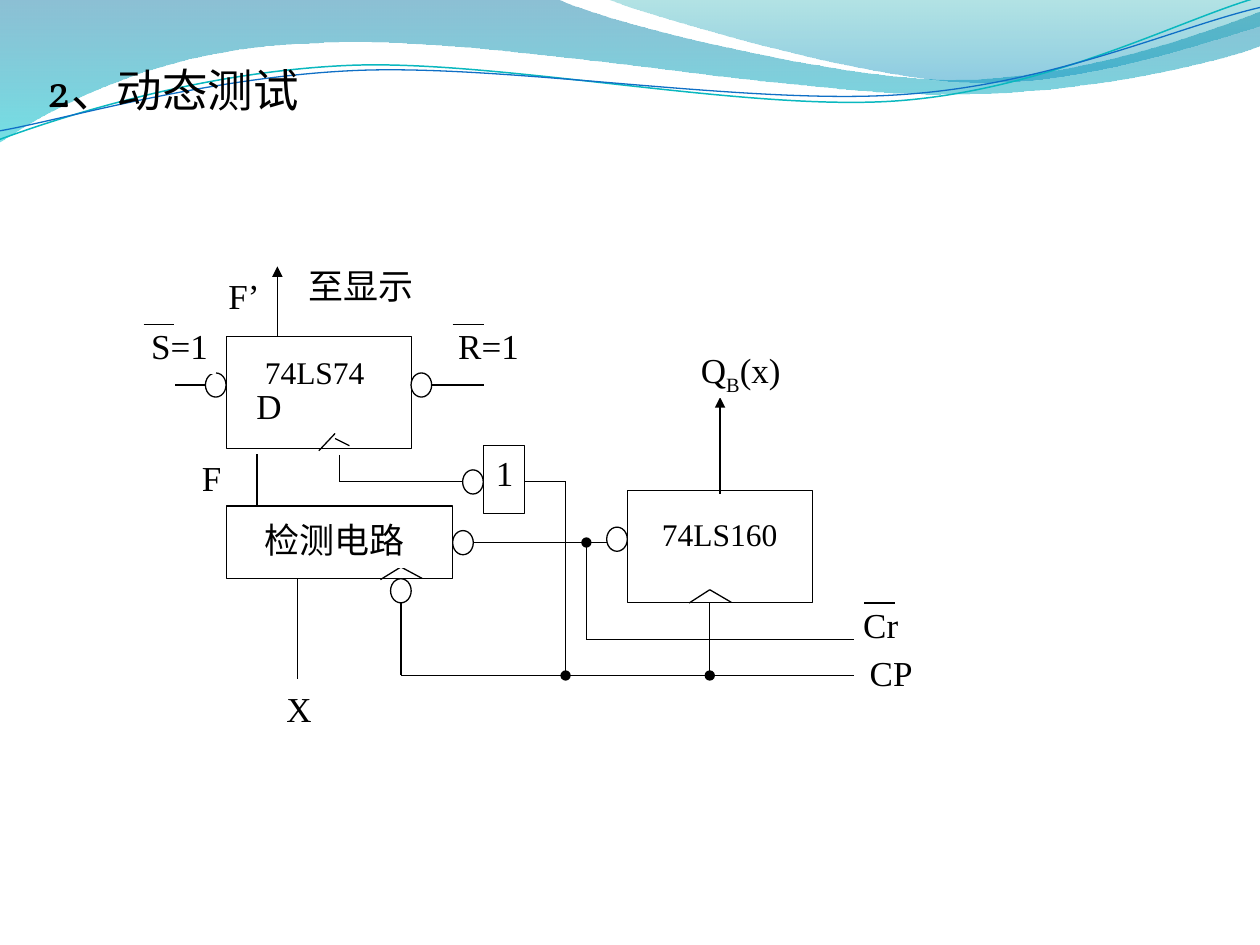
from dataclasses import dataclass
from itertools import pairwise
from math import cos, radians, sin

from lxml import etree
from pptx import Presentation
from pptx.dml.color import RGBColor
from pptx.enum.shapes import MSO_CONNECTOR, MSO_SHAPE
from pptx.enum.text import MSO_ANCHOR, PP_ALIGN
from pptx.oxml.ns import qn
from pptx.util import Pt

RECTANGLE = MSO_SHAPE.RECTANGLE
OVAL = MSO_SHAPE.OVAL
STRAIGHT = MSO_CONNECTOR.STRAIGHT
TOP = MSO_ANCHOR.TOP
LEFT = PP_ALIGN.LEFT
CENTER = PP_ALIGN.CENTER


@dataclass(frozen=True)
class Theme:
    ink: str = "000000"
    paper: str = "FFFFFF"
    wave: tuple = (("0074A1", 45), ("00C6CF", 55))
    crest: tuple = (("00A1A9", 30), ("008BBF", 45))
    teal: str = "0AB8BF"
    blue: str = "0F6FC6"
    title_font: str = "Vollkorn"
    font: str = "Times New Roman"
    title_size: float = 26
    label_size: float = 20
    chip_size: float = 18
    line: float = 0.75


THEME = Theme()
BUBBLE_SIZE = (11.8, 13.8)
CHIP_SIZE = (105.8, 64.2)
TILT = 2.7

WAVE = [
    [(-0.7, -0.7)],
    [(318, -0.7)],
    [(343.5, 12.2), (478.1, 45.4), (545.8, 45.4)],
    [(614.2, 45.4), (689.8, 18.7), (720, 6.5)],
    [(720.7, 25.9)],
    [(707.8, 31.7), (626.4, 54.7), (537.1, 54)],
    [(447.8, 54), (275, 20.2), (185, 24.5)],
    [(92.9, 25.9), (33.1, 59.8), (-0.7, 81.4)],
]
CREST = [
    [(346, -0.7)],
    [(367.5, 7.9), (491, 44.6), (553.7, 46.8)],
    [(616.3, 49.7), (691.9, 23), (720, 15.1)],
    [(720, -0.7)],
]
TEAL_CURVE = [
    [(-0.7, 79.9)],
    [(34.6, 67), (113.8, 41), (199.4, 37.4)],
    [(284.4, 33.8), (427, 64.1), (513.4, 57.6)],
    [(599.8, 51.1), (675.4, 10.8), (718.6, -1.4)],
]
BLUE_CURVE = [
    [(-0.7, 74.9)],
    [(33.8, 69.1), (118.1, 43.9), (203.8, 40.3)],
    [(290.2, 36.7), (429.8, 60.5), (516.2, 54)],
    [(601.9, 48.2), (673.2, 15.1), (720, 4.3)],
]

BLOCKS = [
    (129.6, 289.2, 129.2, 41.5, "", (0, 0)),
    (129.6, 192.2, *CHIP_SIZE, "D", (16.9, 27.4)),
    (358.5, 280.2, *CHIP_SIZE, "", (0, 0)),
]
INVERTER = (276.3, 254.6, 23.4, 38.9, "1", (7.2, 3.6))
WIRES = [
    ([(158.5, 192.2), (158.5, 152.2)], "triangle"),
    ([(146.8, 289.2), (146.8, 259.4)], None),
    ([(191.5, 247.7), (182.2, 257.6)], None),
    ([(191.5, 250.6), (199.7, 254.7)], None),
    ([(193.9, 259.9), (193.9, 275.3), (288, 275.3)], None),
    ([(217.4, 331.2), (229.1, 324), (241.2, 330.5)], None),
    ([(299.5, 275.3), (323.2, 275.3), (323.2, 386)], "oval"),
    ([(229.1, 344.2), (229.1, 386), (488.2, 386)], None),
    ([(170.2, 330.5), (170.2, 388.1)], None),
    ([(270.4, 310), (347, 310)], None),
    ([(487.8, 365.3), (335.1, 365.3), (335.1, 310)], "oval"),
    ([(393.8, 344.6), (405.6, 337), (417.9, 344.2)], None),
    ([(405.6, 344.6), (405.6, 386)], "oval"),
    ([(411.5, 282.2), (411.5, 227)], "triangle"),
    ([(247, 220), (276.3, 220)], None),
    ([(117.4, 220), (99.8, 220)], None),
]
BUBBLES = [(264.4, 268.5), (346.7, 301.2), (258.7, 303.2),
           (223.2, 330.7), (117.4, 213.1), (234.9, 213.1)]
LABELS = [
    (126.2, 156.8, 26.6, 27.4, "F’"),
    (141.1, 296.2, 100, 28, "检测电路"),
    (108.7, 260.6, 24.5, 24.5, "F"),
    (164.6, 151.2, 83.5, 24.5, "至显示"),
    (158.6, 393.1, 24.5, 24.5, "X"),
    (493.7, 372.2, 31, 24.5, "CP"),
    (488.2, 344.9, 30.2, 24.5, "Cr"),
    (258.7, 185.4, 41, 27.4, "R=1"),
    (82.1, 185.4, 41, 28, "S=1"),
]
CHIP_NAMES = [
    (144.5, 201.6, 70.6, 17.3, "74LS74"),
    (376, 294.5, 70.6, 28, "74LS160"),
]
OVERBARS = [(82.1, 185.4), (258.7, 185.4), (493.8, 344.6)]


def color(value):
    return RGBColor.from_string(value)


def style_font(font, size, name=THEME.font):
    font.size = Pt(size)
    font.name = name
    font.color.rgb = color(THEME.ink)


def set_text(shape, text, size, align, insets=(0, 0), name=THEME.font):
    frame = shape.text_frame
    frame.word_wrap = True
    frame.vertical_anchor = TOP
    frame.margin_left, frame.margin_top = map(Pt, insets)
    frame.margin_right = frame.margin_bottom = 0
    frame.text = text
    para = frame.paragraphs[0]
    para.alignment = align
    for span in para.runs:
        style_font(span.font, size, name)
    return para


def add_box(page, kind, bounds, line):
    box = page.shapes.add_shape(kind, *map(Pt, bounds))
    box.shadow.inherit = False
    box.fill.solid()
    box.fill.fore_color.rgb = color(THEME.paper)
    box.line.color.rgb = color(line)
    box.line.width = Pt(THEME.line)
    return box


def add_block(page, *bounds, text, insets):
    block = add_box(page, RECTANGLE, bounds, THEME.ink)
    if text:
        set_text(block, text, THEME.label_size, LEFT, insets)


def add_label(page, bounds, text, size=THEME.label_size):
    box = add_box(page, RECTANGLE, bounds, THEME.paper)
    return set_text(box, text, size, CENTER)


def add_wire(page, points, ending=None):
    for start, end in pairwise(points):
        wire = page.shapes.add_connector(STRAIGHT, *map(Pt, (*start, *end)))
        wire.line.color.rgb = color(THEME.ink)
        wire.line.width = Pt(THEME.line)
        etree.SubElement(wire._element.spPr, qn("a:effectLst"))
    if ending:
        etree.SubElement(wire.line._get_or_add_ln(), qn("a:tailEnd"), type=ending)


def add_outline(page, segments, close):
    places = [(Pt(x), Pt(y)) for segment in segments for x, y in segment]
    builder = page.shapes.build_freeform(*places[0])
    builder.add_line_segments(places[1:], close=close)
    shape = builder.convert_to_shape()
    shape.shadow.inherit = False
    steps = shape._element.spPr.iter(qn("a:lnTo"))
    steps = iter(list(steps))
    for segment in segments[1:]:
        first, *others = [next(steps) for _ in segment]
        if others:
            first.tag = qn("a:cubicBezTo")
        for step in others:
            first.append(step[0])
            step.getparent().remove(step)
    return shape


def add_ribbon(page, outline, stops):
    ribbon = add_outline(page, outline, True)
    ribbon.line.fill.background()
    ribbon.fill.gradient()
    ribbon.fill.gradient_angle = 270
    for position, stop in enumerate(ribbon.fill.gradient_stops):
        stop.color.rgb = color(stops[position][0])
        stop.position = position
    for element, (_, opacity) in zip(ribbon._element.spPr.iter(qn("a:srgbClr")), stops):
        etree.SubElement(element, qn("a:alpha"), val=str(opacity * 1000))


def turn(point, center):
    x, y = point[0] - center[0], point[1] - center[1]
    angle = radians(TILT)
    return (center[0] + x * cos(angle) - y * sin(angle),
            center[1] + x * sin(angle) + y * cos(angle))


def add_curve(page, outline, center, value, width):
    level = [[turn(point, center) for point in segment] for segment in outline]
    curve = add_outline(page, level, False)
    curve.rotation = 360 - TILT
    curve.fill.background()
    curve.line.color.rgb = color(value)
    curve.line.width = Pt(width)


def add_title(page, text):
    box = page.shapes.add_textbox(*map(Pt, (19.6, 31.7, 648, 356.4)))
    set_text(box, text, THEME.title_size, LEFT, (7.2, 3.6), THEME.title_font)


def add_counter_output(page):
    para = add_label(page, (393.8, 199.4, 59, 28), "Q")
    for text in ("B", "(x)"):
        span = para.add_run()
        span.text = text
        style_font(span.font, THEME.label_size)
    para.runs[1].font._element.set("baseline", "-25000")


def main():
    deck = Presentation()
    deck.slide_width, deck.slide_height = Pt(720), Pt(540)
    page = deck.slides.add_slide(deck.slide_layouts[6])
    add_ribbon(page, WAVE, THEME.wave)
    add_ribbon(page, CREST, THEME.crest)
    add_curve(page, TEAL_CURVE, (359.3, 41.4), THEME.teal, 0.85)
    add_curve(page, BLUE_CURVE, (359.6, 42.5), THEME.blue, THEME.line)
    add_title(page, "2、动态测试")
    for *bounds, text, insets in BLOCKS:
        add_block(page, *bounds, text=text, insets=insets)
    for points, ending in WIRES:
        add_wire(page, points, ending)
    *bounds, text, insets = INVERTER
    add_block(page, *bounds, text=text, insets=insets)
    for corner in BUBBLES:
        add_box(page, OVAL, (*corner, *BUBBLE_SIZE), THEME.ink)
    for *bounds, text in LABELS:
        add_label(page, bounds, text)
    for *bounds, text in CHIP_NAMES:
        add_label(page, bounds, text, THEME.chip_size)
    add_counter_output(page)
    for x, y in OVERBARS:
        add_wire(page, [(x, y), (x + 17.6, y)])
    deck.save("out.pptx")


if __name__ == "__main__":
    main()
